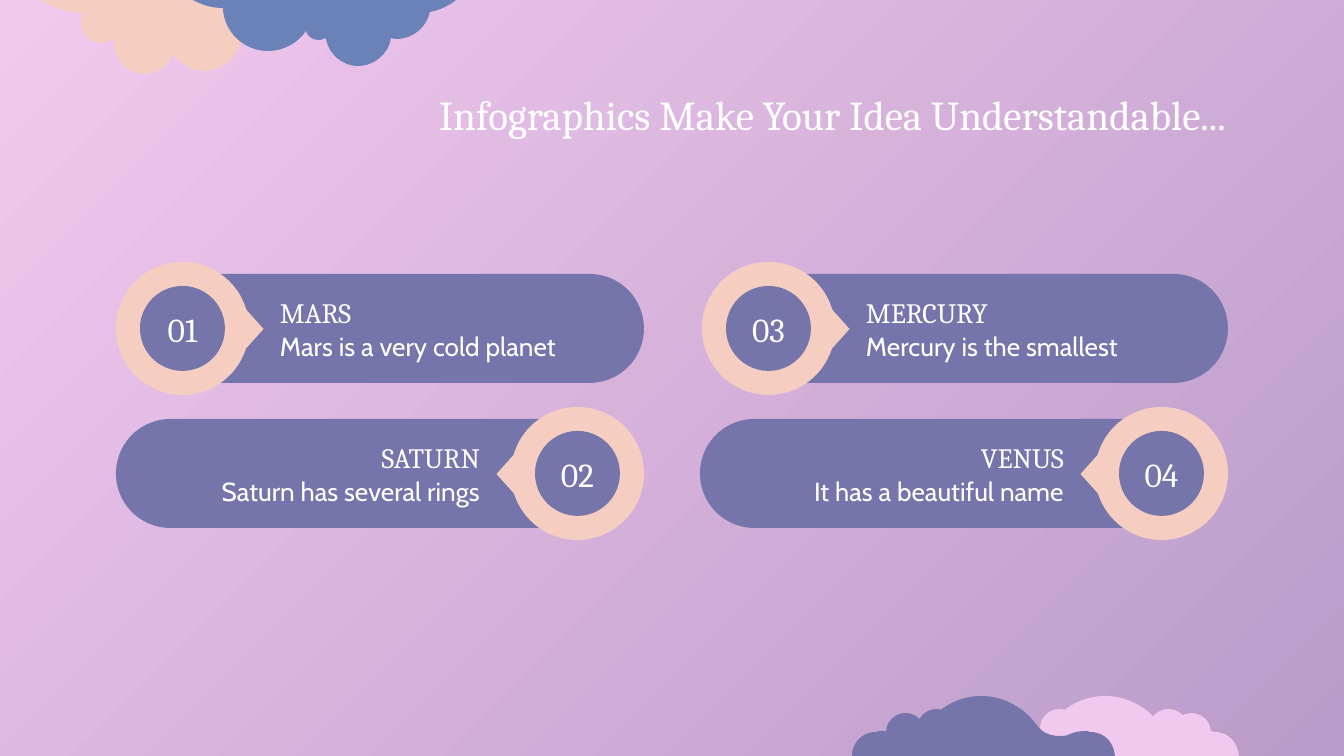
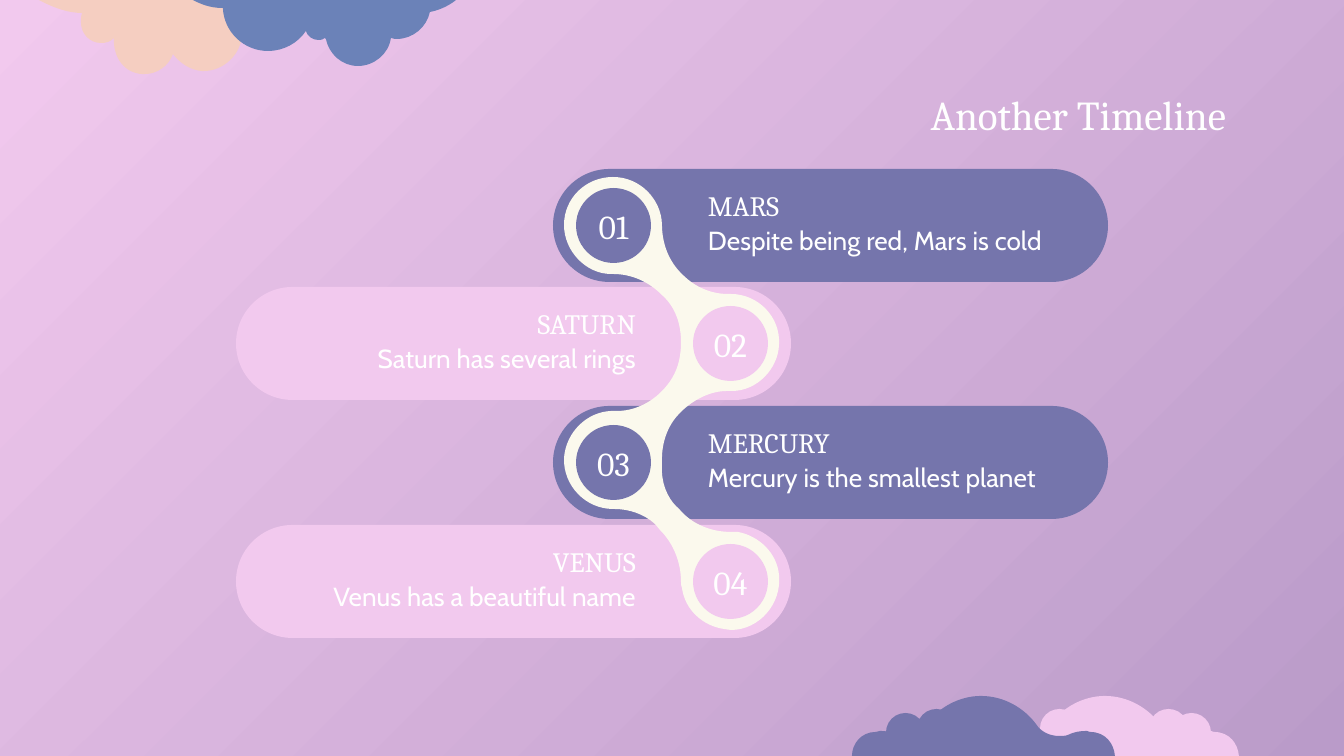
from dataclasses import dataclass
from typing import NamedTuple

from lxml.etree import SubElement
from pptx import Presentation
from pptx.dml.color import RGBColor
from pptx.enum.shapes import MSO_SHAPE as SHAPE
from pptx.enum.text import MSO_ANCHOR as ANCHOR, PP_ALIGN as ALIGN
from pptx.oxml.ns import qn
from pptx.util import Emu, Pt


@dataclass(frozen=True)
class Theme:
    pink: str = "F2C9EE"
    mauve: str = "BA9BC9"
    purple: str = "7575AC"
    blue: str = "6B82B8"
    peach: str = "F5CEC1"
    cream: str = "FBF9ED"
    white: str = "FFFFFF"
    serif: str = "Cambria"
    sans: str = "Cabin"
    title: int = 22
    number: int = 18
    heading: int = 15
    body: int = 14


T = Theme()
SLIDE_W, SLIDE_H = 1344, 756


def px(n):
    return Emu(round(n * 9144000 / SLIDE_W))


class Box(NamedTuple):
    x: int
    y: int
    w: int
    h: int

    def inner(self, dx, dy, w, h, flip=False):
        """Box inside this one; flip measures dx from the right side."""
        left = self.w - dx - w if flip else dx
        return Box(self.x + left, self.y + dy, w, h)


# Outlines: a start point, then lines (x, y) and curves (x1, y1, x2, y2, x, y).
PEACH_CLOUD = [
    (106, 74), (118, 74, 130, 66, 134, 54), (141, 63, 151, 70, 163, 71),
    (163, 71, 164, 71, 165, 71), (184, 71, 202, 55, 203, 35),
    (203, 34, 203, 32, 203, 31),
    (211, 27, 216, 20, 219, 12), (223, 13, 227, 13, 231, 13),
    (253, 13, 263, 0, 263, 0), (0, 0), (17, 9, 31, 13, 43, 13),
    (42, 16, 42, 19, 42, 22), (42, 34, 51, 43, 62, 43),
    (67, 43, 71, 42, 75, 38), (74, 58, 86, 73, 103, 74),
    (104, 74, 105, 74, 106, 74),
]
BLUE_CLOUD = [
    (165, 66), (181, 66, 196, 54, 198, 38), (200, 39, 203, 39, 204, 39),
    (220, 39, 234, 27, 237, 12), (253, 9, 263, 0, 263, 0), (0, 0),
    (13, 7, 23, 8, 30, 8), (31, 32, 51, 51, 75, 51),
    (91, 51, 105, 43, 113, 31), (114, 36, 120, 40, 125, 40),
    (128, 40, 130, 40, 132, 38), (132, 38, 133, 39, 133, 39),
    (136, 54, 149, 66, 165, 66),
]
LOW_CLOUD = [
    (129, 0), (108, 0, 87, 11, 75, 28), (70, 35, 62, 39, 52, 39),
    (50, 39, 47, 39, 44, 38), (39, 36, 34, 35, 28, 35),
    (27, 35, 25, 36, 24, 36),
    (9, 36, 0, 48, 0, 60), (263, 60), (262, 48, 254, 36, 238, 36),
    (237, 36, 236, 35, 235, 35), (228, 35, 222, 36, 216, 39),
    (214, 40, 210, 40, 207, 40),
    (198, 40, 189, 36, 184, 28), (172, 12, 152, 0, 129, 0),
]
SPINE = [
    (50, 0), (23, 0, 1, 21, 1, 48), (1, 74, 23, 97, 48, 97), (50, 97),
    (69, 97, 86, 105, 99, 118), (100, 119), (113, 131, 118, 148, 118, 165),
    (118, 184, 113, 200, 99, 214), (98, 215), (86, 227, 70, 234, 54, 234),
    (52, 234, 50, 234, 48, 234), (24, 235, 3, 255, 1, 281),
    (0, 309, 23, 332, 50, 332),
    (51, 332), (66, 332, 81, 337, 92, 347), (97, 353),
    (111, 367, 118, 386, 118, 405), (118, 407, 118, 409, 119, 411),
    (122, 433, 140, 449, 161, 452), (163, 452, 165, 453, 168, 453),
    (196, 453, 219, 427, 216, 398), (214, 376, 196, 359, 175, 355),
    (173, 355, 171, 355, 168, 355), (149, 355, 130, 348, 117, 333),
    (115, 331), (103, 320, 98, 304, 99, 288), (99, 286, 99, 284, 99, 282),
    (99, 265, 105, 247, 118, 235), (120, 233),
    (132, 222, 148, 214, 164, 214), (166, 214, 167, 214, 169, 214),
    (194, 214, 215, 192, 216, 168), (218, 140, 195, 117, 168, 117),
    (167, 117, 166, 117, 165, 117), (148, 117, 132, 110, 120, 98),
    (106, 85, 99, 67, 99, 47), (98, 22, 77, 0, 50, 0),
]


def paint(sp, color):
    sp.shadow.inherit = False
    sp.fill.solid()
    sp.fill.fore_color.rgb = RGBColor.from_string(color)
    sp.line.fill.background()


def shape(shapes, kind, box, color):
    sp = shapes.add_shape(kind, *map(px, box))
    paint(sp, color)
    return sp


def pill(shapes, box, color):
    shape(shapes, SHAPE.ROUNDED_RECTANGLE, box, color).adjustments[0] = 0.5


def outline_shape(shapes, x, y, outline, color):
    """Build a freeform through the end points, then bend its curved sides."""
    ends = [(px(x + step[-2]), px(y + step[-1])) for step in outline]
    builder = shapes.build_freeform(*ends[0], scale=1.0)
    builder.add_line_segments(ends[1:], close=True)
    sp = builder.convert_to_shape()
    paint(sp, color)
    left, top = min(e[0] for e in ends), min(e[1] for e in ends)
    sides = list(sp.element.iter(qn("a:lnTo")))
    for side, step in zip(sides, outline[1:]):
        if len(step) == 2:
            continue
        parent = side.getparent()
        curve = SubElement(parent, qn("a:cubicBezTo"))
        for cx, cy in zip(step[::2], step[1::2]):
            SubElement(curve, qn("a:pt"), x=str(px(x + cx) - left),
                       y=str(px(y + cy) - top))
        parent.replace(side, curve)


def text(shapes, box, words, size, font=T.serif, align=ALIGN.LEFT):
    tf = shapes.add_textbox(*map(px, box)).text_frame
    tf.word_wrap = True
    tf.vertical_anchor = ANCHOR.MIDDLE
    tf.margin_left = tf.margin_right = px(13)
    tf.margin_top = tf.margin_bottom = px(13)
    p = tf.paragraphs[0]
    p.text = words
    p.alignment = align
    p.font.name, p.font.size = font, Pt(size)
    p.font.color.rgb = RGBColor.from_string(T.white)


def numbered_disc(shapes, box, number, color):
    shape(shapes, SHAPE.OVAL, box, color)
    label = box.inner((box.w - 85) // 2, (box.h - 60) // 2 + 1, 85, 60)
    text(shapes, label, number, T.number, align=ALIGN.CENTER)


def caption(shapes, heading_box, body_box, heading, body, flip):
    align = ALIGN.RIGHT if flip else ALIGN.LEFT
    text(shapes, body_box, body, T.body, T.sans, align)
    text(shapes, heading_box, heading, T.heading, align=align)


def low_cloud(s, x, y, puffs, color):
    group = s.shapes.add_group_shape().shapes
    outline_shape(group, x, y, LOW_CLOUD, color)
    for dx, dy in puffs:
        shape(group, SHAPE.OVAL, Box(x + dx, y + dy, 39, 39), color)


def base_slide(prs, title):
    """Add a slide with the gradient, the corner clouds and the title."""
    s = prs.slides.add_slide(prs.slide_layouts[6])
    fill = s.background.fill
    fill.gradient()
    fill.gradient_angle = 315
    for stop, position, color in zip(fill.gradient_stops, (0, 1), (T.pink, T.mauve)):
        stop.position = position
        stop.color.rgb = RGBColor.from_string(color)
    outline_shape(s.shapes, 39, 0, PEACH_CLOUD, T.peach)
    outline_shape(s.shapes, 193, 0, BLUE_CLOUD, T.blue)
    low_cloud(s, 976, 696, [(64, 13), (173, 13), (196, 17)], T.pink)
    low_cloud(s, 852, 696, [(34, 17), (65, 13)], T.purple)
    text(s.shapes, Box(105, 79, 1134, 71), title, T.title, align=ALIGN.RIGHT)
    return s


def planet_card(s, box, pill_w, number, heading, body, flip):
    """Pill with a pointed ring at its left end, or its right end if flipped."""
    pill(s.shapes, box.inner(box.w - pill_w, 12, pill_w, 109, flip), T.purple)
    ring = box.inner(0, 0, 133, 133, flip)
    group = s.shapes.add_group_shape().shapes
    shape(group, SHAPE.OVAL, ring, T.peach)
    pointer = shape(group, SHAPE.ISOSCELES_TRIANGLE,
                    box.inner(99, 52, 67, 30, flip), T.peach)
    pointer.rotation = 270 if flip else 90
    numbered_disc(s.shapes, ring.inner(24, 24, 85, 85), number, T.purple)
    caption(s.shapes, box.inner(151, 29, 341, 42, flip),
            box.inner(151, 63, 341, 42, flip), heading, body, flip)


def cards_slide(prs):
    s = base_slide(prs, "Infographics Make Your Idea Understandable...")
    top, bottom = 262, 407
    cards = [
        (116, top, 528, 505, "01", "MARS", "Mars is a very cold planet"),
        (116, bottom, 528, 505, "02", "SATURN", "Saturn has several rings"),
        (700, bottom, 528, 505, "04", "VENUS", "It has a beautiful name"),
        (702, top, 526, 485, "03", "MERCURY", "Mercury is the smallest"),
    ]
    for x, y, w, pill_w, *words in cards:
        planet_card(s, Box(x, y, w, 133), pill_w, *words, flip=y == bottom)


def timeline(s, area, stops):
    """Staggered pills, joined by a winding spine through their discs."""
    rows = []
    for i, words in enumerate(stops):
        flip = i % 2 == 1
        dx, dy = 0 if flip else area.w - 555, round(i * 118.5)
        row = area.inner(dx, dy, 555, 113)
        color = T.pink if flip else T.purple
        pill(s.shapes, row, color)
        rows.append((row, color, flip, words))
    outline_shape(s.shapes, area.x + 327, area.y + 8, SPINE, T.cream)
    for row, color, flip, (number, heading, body) in rows:
        numbered_disc(s.shapes, row.inner(23, 19, 75, 75, flip), number, color)
        caption(s.shapes, row.inner(142, 15, 341, 42, flip),
                row.inner(142, 50, 398, 42, flip), heading, body, flip)


def timeline_slide(prs):
    s = base_slide(prs, "Another Timeline")
    timeline(s, Box(236, 169, 872, 468), [
        ("01", "MARS", "Despite being red, Mars is cold"),
        ("02", "SATURN", "Saturn has several rings"),
        ("03", "MERCURY", "Mercury is the smallest planet"),
        ("04", "VENUS", "Venus has a beautiful name"),
    ])


def main():
    prs = Presentation()
    prs.slide_width, prs.slide_height = px(SLIDE_W), px(SLIDE_H)
    cards_slide(prs)
    timeline_slide(prs)
    prs.save("out.pptx")


if __name__ == "__main__":
    main()
